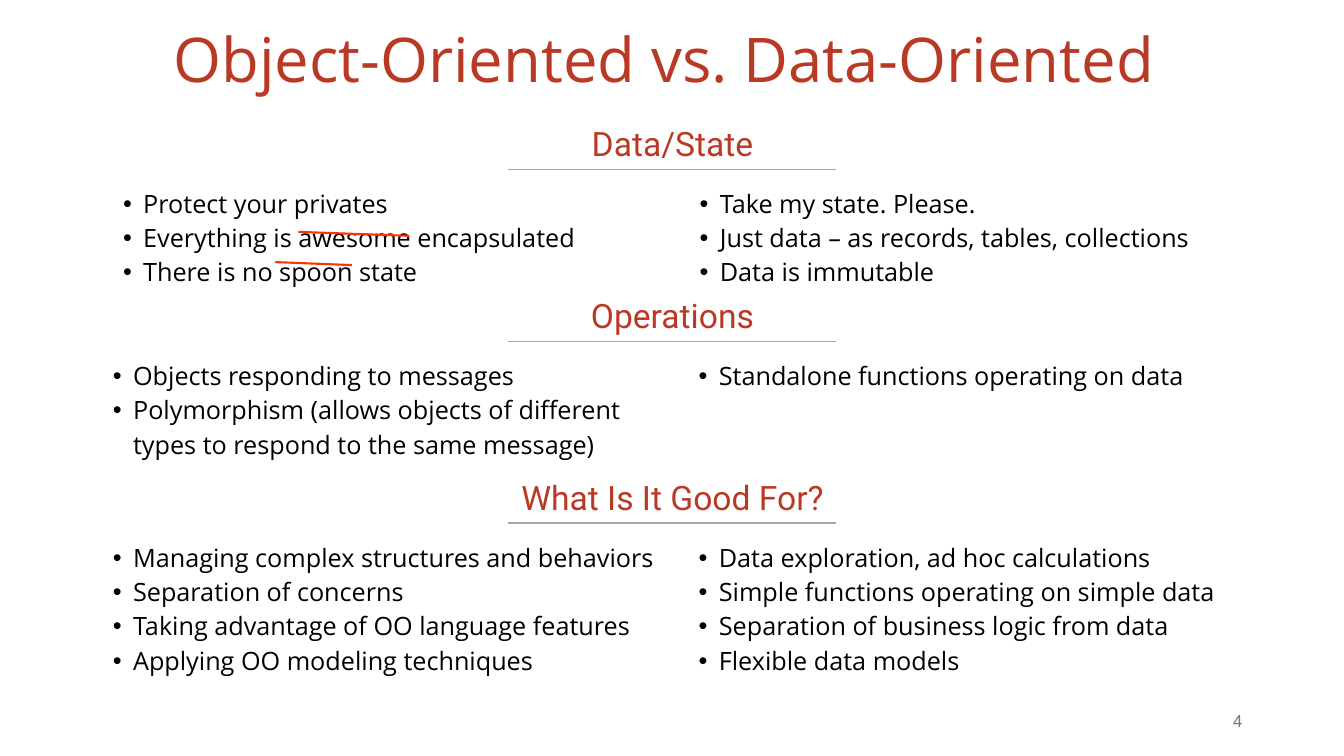
from dataclasses import dataclass

from lxml import etree
from pptx import Presentation
from pptx.dml.color import RGBColor
from pptx.enum.shapes import MSO_CONNECTOR
from pptx.enum.text import MSO_ANCHOR, PP_ALIGN
from pptx.oxml.ns import qn
from pptx.util import Inches, Pt

CENTER = PP_ALIGN.CENTER
RIGHT = PP_ALIGN.RIGHT
TOP = MSO_ANCHOR.TOP
MIDDLE = MSO_ANCHOR.MIDDLE
STRAIGHT = MSO_CONNECTOR.STRAIGHT
NO_STYLE_NO_GRID = "{2D5ABB26-0587-4C30-8999-92F81FD0307C}"


@dataclass(frozen=True)
class Theme:
    heading: str = "BA3925"
    body: str = "000000"
    muted: str = "797979"
    rule: str = "A6A6A6"
    strike: str = "FF3300"
    text_font: str = "Open Sans"
    label_font: str = "Roboto"
    title_size: int = 44
    heading_size: int = 24
    body_size: int = 18
    number_size: int = 12


class SlideBuilder:
    def __init__(self, slide, theme):
        self.s = slide
        self.theme = theme

    def style(self, p, font, size, color):
        for r in p.runs:
            r.font.name = font
            r.font.size = Pt(size)
            r.font.color.rgb = RGBColor.from_string(color)

    def text(self, text, box, font, size, color, align=CENTER, anchor=TOP, spacing=1.0):
        sp = self.s.shapes.add_textbox(*map(Inches, box))
        tf = sp.text_frame
        tf.word_wrap = True
        tf.vertical_anchor = anchor
        p = tf.paragraphs[0]
        p.text = text
        p.alignment = align
        p.line_spacing = spacing
        self.style(p, font, size, color)

    def line(self, start, end, color, width):
        sp = self.s.shapes.add_connector(STRAIGHT, *map(Inches, (*start, *end)))
        sp.line.color.rgb = RGBColor.from_string(color)
        sp.line.width = Pt(width)
        etree.SubElement(sp._element.spPr, qn("a:effectLst"))

    def bullet(self, p):
        pPr = p._p.get_or_add_pPr()
        pPr.set("marL", str(Inches(0.2)))
        pPr.set("indent", str(-Inches(0.2)))
        font = etree.SubElement(pPr, qn("a:buFont"))
        font.set("typeface", "Arial")
        etree.SubElement(pPr, qn("a:buChar")).set("char", "•")

    def table(self, left, top, widths, height, columns):
        box = map(Inches, (left, top, sum(widths), height))
        sp = self.s.shapes.add_table(1, len(columns), *box)
        next(sp._element.iter(qn("a:tableStyleId"))).text = NO_STYLE_NO_GRID
        table = sp.table
        table.first_row = False
        table.horz_banding = False
        for i, (width, items) in enumerate(zip(widths, columns)):
            table.columns[i].width = Inches(width)
            cell = table.cell(0, i)
            cell.fill.background()
            cell.margin_right = Inches(0.1 if i == 0 else 0)
            cell.text_frame.text = "\n".join(items)
            for p in cell.text_frame.paragraphs:
                self.bullet(p)
                self.style(p, self.theme.text_font, self.theme.body_size, self.theme.body)

    def section(self, top, heading, left, widths, height, columns):
        t = self.theme
        self.text(heading, (1.24, top, 10.86, 0.5), t.label_font, t.heading_size, t.heading)
        self.table(left, top + 0.63, widths, height, columns)
        self.line((5.04, top + 0.51), (8.29, top + 0.51), t.rule, 1)


SECTIONS = [
    (1.17, "Data/State", 1.12, (5.72, 5.39), 1.15, (
        ["Protect your privates",
         "Everything is awesome encapsulated",
         "There is no spoon state"],
        ["Take my state. Please.",
         "Just data – as records, tables, collections",
         "Data is immutable"],
    )),
    (2.88, "Operations", 1.02, (5.81, 5.48), 1.15, (
        ["Objects responding to messages",
         "Polymorphism (allows objects of different types to respond to the same message)"],
        ["Standalone functions operating on data"],
    )),
    (4.68, "What Is It Good For?", 1.02, (5.81, 5.48), 1.5, (
        ["Managing complex structures and behaviors",
         "Separation of concerns",
         "Taking advantage of OO language features",
         "Applying OO modeling techniques"],
        ["Data exploration, ad hoc calculations",
         "Simple functions operating on simple data",
         "Separation of business logic from data",
         "Flexible data models"],
    )),
]

STRIKES = [((2.73, 2.6), (3.49, 2.63)), ((2.96, 2.3), (4.06, 2.34))]


def main():
    prs = Presentation()
    prs.slide_width = Inches(13.33)
    prs.slide_height = Inches(7.5)
    t = Theme()
    builder = SlideBuilder(prs.slides.add_slide(prs.slide_layouts[6]), t)

    builder.text("Object-Oriented vs. Data-Oriented ", (0.92, 0.2, 11.5, 0.85),
                 t.text_font, t.title_size, t.heading, anchor=MIDDLE, spacing=0.9)
    for section in SECTIONS:
        builder.section(*section)
    builder.text("4", (9.42, 6.95, 3, 0.4), t.label_font, t.number_size, t.muted,
                 align=RIGHT, anchor=MIDDLE)
    for start, end in STRIKES:
        builder.line(start, end, t.strike, 1.5)

    prs.save("out.pptx")


if __name__ == "__main__":
    main()
